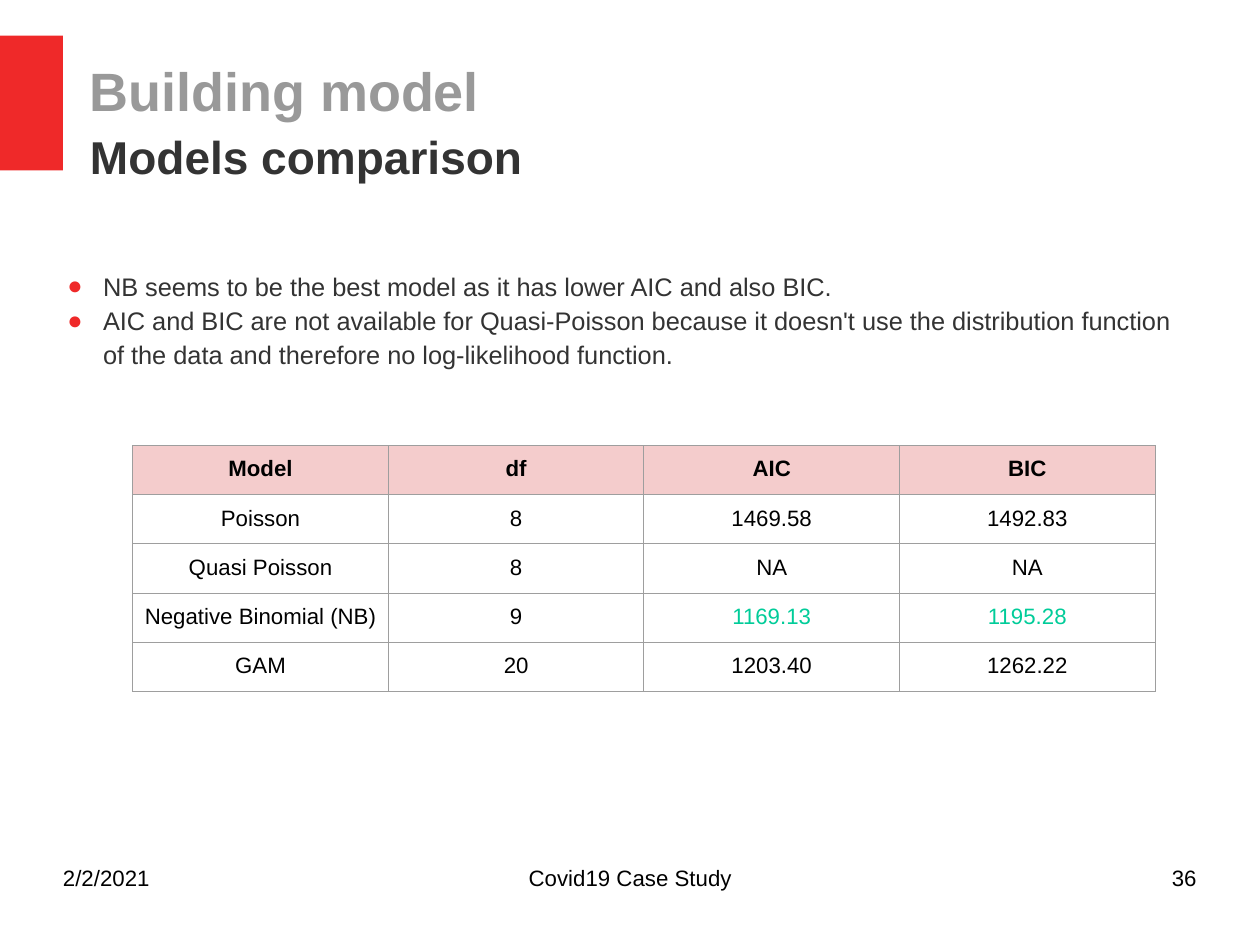
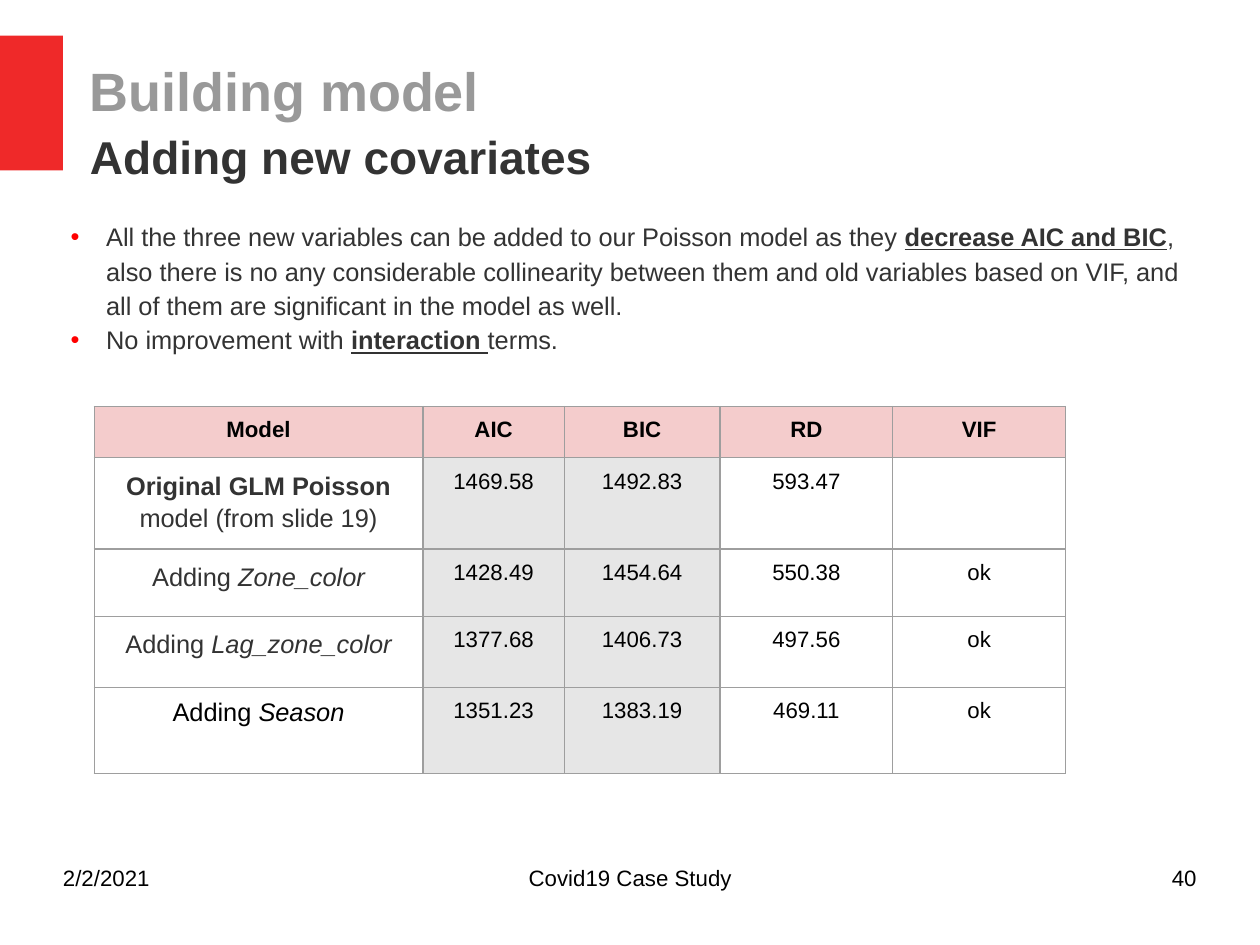
from dataclasses import dataclass
from typing import Any

import lxml.etree
import pptx
import pptx.dml.color
import pptx.enum.shapes
import pptx.enum.text
import pptx.oxml.ns
import pptx.util

Cm = pptx.util.Cm
Align = pptx.enum.text.PP_ALIGN
Anchor = pptx.enum.text.MSO_ANCHOR


@dataclass(frozen=True)
class Theme:
    font: str = "Arial"
    accent: str = "EF2929"
    bullet: str = "FF0000"
    muted: str = "999999"
    dark: str = "333333"
    black: str = "000000"
    best: str = "00CC99"
    head: str = "F4CCCC"
    shade: str = "E6E6E6"
    grid: str = "9E9E9E"
    title: int = 34
    topic: int = 29
    body: int = 16
    small: int = 14
    space: float = 1.13
    line: float = 0.75


LOOK = Theme()


@dataclass(frozen=True)
class Box:
    left: float
    top: float
    width: float
    height: float

    def place(self) -> tuple[Any, ...]:
        return Cm(self.left), Cm(self.top), Cm(self.width), Cm(self.height)


@dataclass(frozen=True)
class Run:
    text: str
    size: int = LOOK.body
    color: str = LOOK.dark
    bold: bool = False
    slant: bool = False
    under: bool = False


@dataclass(frozen=True)
class Para:
    runs: tuple[Run, ...]
    align: Any = Align.LEFT
    space: float | None = LOOK.space


@dataclass(frozen=True)
class Bullet:
    mark: str
    color: str
    indent: float
    hang: float = 0.79


@dataclass(frozen=True)
class Cell:
    para: Para | None
    fill: str | None = None


@dataclass(frozen=True)
class Grid:
    left: float
    top: float
    cols: tuple[float, ...]
    rows: tuple[float, ...]
    cells: list[list[Cell]]


@dataclass(frozen=True)
class Page:
    topic: str
    number: str
    body: Box
    bullet: Bullet
    points: tuple[Para, ...]
    grid: Grid


BAND = Box(0, 0.79, 1.4, 3)
TITLE = Box(2, 0.84, 24.6, 3.5)
DATE = Box(1.4, 19.13, 6.52, 1.45)
FOOTER = Box(9.57, 19.13, 8.87, 1.45)
NUMBER = Box(20.07, 19.13, 6.52, 1.45)


def rgb(color: str) -> Any:
    return pptx.dml.color.RGBColor.from_string(color)


def add_node(base: Any, tag: str, **attrs: str) -> Any:
    return lxml.etree.SubElement(base, pptx.oxml.ns.qn(tag), attrs)


def fill_para(target: Any, para: Para, bullet: Bullet | None = None) -> None:
    target.alignment = para.align
    if para.space:
        target.line_spacing = para.space
    for item in para.runs:
        run = target.add_run()
        run.text = item.text
        font = run.font
        font.name = LOOK.font
        font.size = pptx.util.Pt(item.size)
        font.color.rgb = rgb(item.color)
        font.bold = item.bold
        font.italic = item.slant
        font.underline = item.under
    if bullet:
        props = target._p.get_or_add_pPr()
        props.set("marL", str(int(Cm(bullet.indent))))
        props.set("indent", str(-int(Cm(bullet.hang))))
        add_node(add_node(props, "a:buClr"), "a:srgbClr", val=bullet.color)
        add_node(props, "a:buFont", typeface=LOOK.font)
        add_node(props, "a:buChar", char=bullet.mark)


def add_text(slide: Any, box: Box, paras: tuple[Para, ...],
             bullet: Bullet | None = None, anchor: Any = Anchor.TOP) -> None:
    frame = slide.shapes.add_textbox(*box.place()).text_frame
    frame.word_wrap = True
    frame.vertical_anchor = anchor
    frame.margin_left = frame.margin_right = 0
    frame.margin_top = frame.margin_bottom = 0
    for i, para in enumerate(paras):
        target = frame.add_paragraph() if i else frame.paragraphs[0]
        fill_para(target, para, bullet)


def add_frame(slide: Any, topic: str, number: str) -> None:
    band = slide.shapes.add_shape(
        pptx.enum.shapes.MSO_SHAPE.RECTANGLE, *BAND.place())
    band.shadow.inherit = False
    band.fill.solid()
    band.fill.fore_color.rgb = rgb(LOOK.accent)
    band.line.fill.background()
    add_text(slide, TITLE, (
        Para((Run("Building model", LOOK.title, LOOK.muted, True),), space=1.12),
        Para((Run(topic, LOOK.topic, LOOK.dark, True),), space=1.12),
    ), anchor=Anchor.MIDDLE)
    for box, text, align in (
        (DATE, "2/2/2021", Align.LEFT),
        (FOOTER, "Covid19 Case Study", Align.CENTER),
        (NUMBER, number, Align.RIGHT),
    ):
        add_text(slide, box, (Para((Run(text, LOOK.small, LOOK.black),), align),))


def add_edges(cell: Any) -> None:
    props = cell._tc.get_or_add_tcPr()
    for i, side in enumerate(("a:lnL", "a:lnR", "a:lnT", "a:lnB")):
        edge = add_node(props, side, w=str(int(pptx.util.Pt(LOOK.line))))
        add_node(add_node(edge, "a:solidFill"), "a:srgbClr", val=LOOK.grid)
        props.insert(i, edge)


def add_grid(slide: Any, grid: Grid) -> None:
    box = Box(grid.left, grid.top, sum(grid.cols), sum(grid.rows))
    table = slide.shapes.add_table(
        len(grid.rows), len(grid.cols), *box.place()).table
    table.first_row = table.horz_banding = False
    for col, width in zip(table.columns, grid.cols):
        col.width = Cm(width)
    for row, height, line in zip(table.rows, grid.rows, grid.cells):
        row.height = Cm(height)
        for cell, item in zip(row.cells, line):
            cell.margin_left = cell.margin_right = Cm(0.25)
            cell.margin_top = cell.margin_bottom = Cm(0.25)
            if item.fill:
                cell.fill.solid()
                cell.fill.fore_color.rgb = rgb(item.fill)
            else:
                cell.fill.background()
            add_edges(cell)
            if item.para:
                fill_para(cell.text_frame.paragraphs[0], item.para)


def plain(text: str, color: str = LOOK.black, bold: bool = False,
          fill: str | None = None) -> Cell:
    if not text:
        return Cell(None, fill)
    run = Run(text, LOOK.small, color, bold)
    return Cell(Para((run,), Align.CENTER, None), fill)


def header(*names: str) -> list[Cell]:
    return [plain(name, bold=True, fill=LOOK.head) for name in names]


def label(*runs: Run, space: float | None = LOOK.space) -> Cell:
    return Cell(Para(runs, Align.CENTER, space))


def adding(name: str, color: str = LOOK.dark,
           space: float | None = LOOK.space) -> Cell:
    return label(Run("Adding ", color=color),
                 Run(name, color=color, slant=True), space=space)


def strong(text: str) -> Run:
    return Run(text, bold=True, under=True)


SCORES = (
    ("Poisson", "8", "1469.58", "1492.83"),
    ("Quasi Poisson", "8", "NA", "NA"),
    ("Negative Binomial (NB)", "9", "1169.13", "1195.28"),
    ("GAM", "20", "1203.40", "1262.22"),
)
BEST = ("1169.13", "1195.28")

STEPS = (
    (label(Run("Original GLM Poisson", bold=True), Run(" model (from slide 19)")),
     ("1469.58", "1492.83", "593.47", "")),
    (adding("Zone_color"), ("1428.49", "1454.64", "550.38", "ok")),
    (adding("Lag_zone_color"), ("1377.68", "1406.73", "497.56", "ok")),
    (adding("Season", LOOK.black, None), ("1351.23", "1383.19", "469.11", "ok")),
)
SHADES = (LOOK.shade, LOOK.shade, None, None)

PAGES = (
    Page(
        "Models comparison", "36", Box(1.02, 5.93, 25.58, 12),
        Bullet("●", LOOK.accent, 1.27),
        (
            Para((Run("NB seems to be the best model as it has lower AIC and also BIC."),)),
            Para((Run("AIC and BIC are not available for Quasi-Poisson because it "
                      "doesn't use the distribution function of the data and "
                      "therefore no log-likelihood function."),)),
        ),
        Grid(2.95, 9.9, (5.68,) * 4, (1.07,) * 5,
             [header("Model", "df", "AIC", "BIC")] + [
                 [plain(text, LOOK.best if text in BEST else LOOK.black)
                  for text in line] for line in SCORES]),
    ),
    Page(
        "Adding new covariates", "40", Box(0.3, 4.83, 26.6, 13.5),
        Bullet("•", LOOK.bullet, 2.06),
        (
            Para((
                Run("All the three new variables can be added to our Poisson model as they "),
                strong("decrease AIC and BIC"),
                Run(", also there is no any considerable collinearity between them "
                    "and old variables based on VIF, and all of them are "
                    "significant in the model as well."),
            )),
            Para((Run("No improvement with "), strong("interaction "), Run("terms."))),
        ),
        Grid(2.09, 9.03, (7.31, 3.14, 3.46, 3.84, 3.84),
             (1.14, 1.68, 1.49, 1.58, 1.91),
             [header("Model", "AIC", "BIC", "RD", "VIF")] + [
                 [name] + [plain(text, fill=fill) for text, fill in zip(values, SHADES)]
                 for name, values in STEPS]),
    ),
)


def main() -> None:
    deck = pptx.Presentation()
    deck.slide_width = Cm(28)
    deck.slide_height = Cm(21)
    for page in PAGES:
        slide = deck.slides.add_slide(deck.slide_layouts[6])
        add_frame(slide, page.topic, page.number)
        add_text(slide, page.body, page.points, page.bullet)
        add_grid(slide, page.grid)
    deck.save("out.pptx")


if __name__ == "__main__":
    main()
